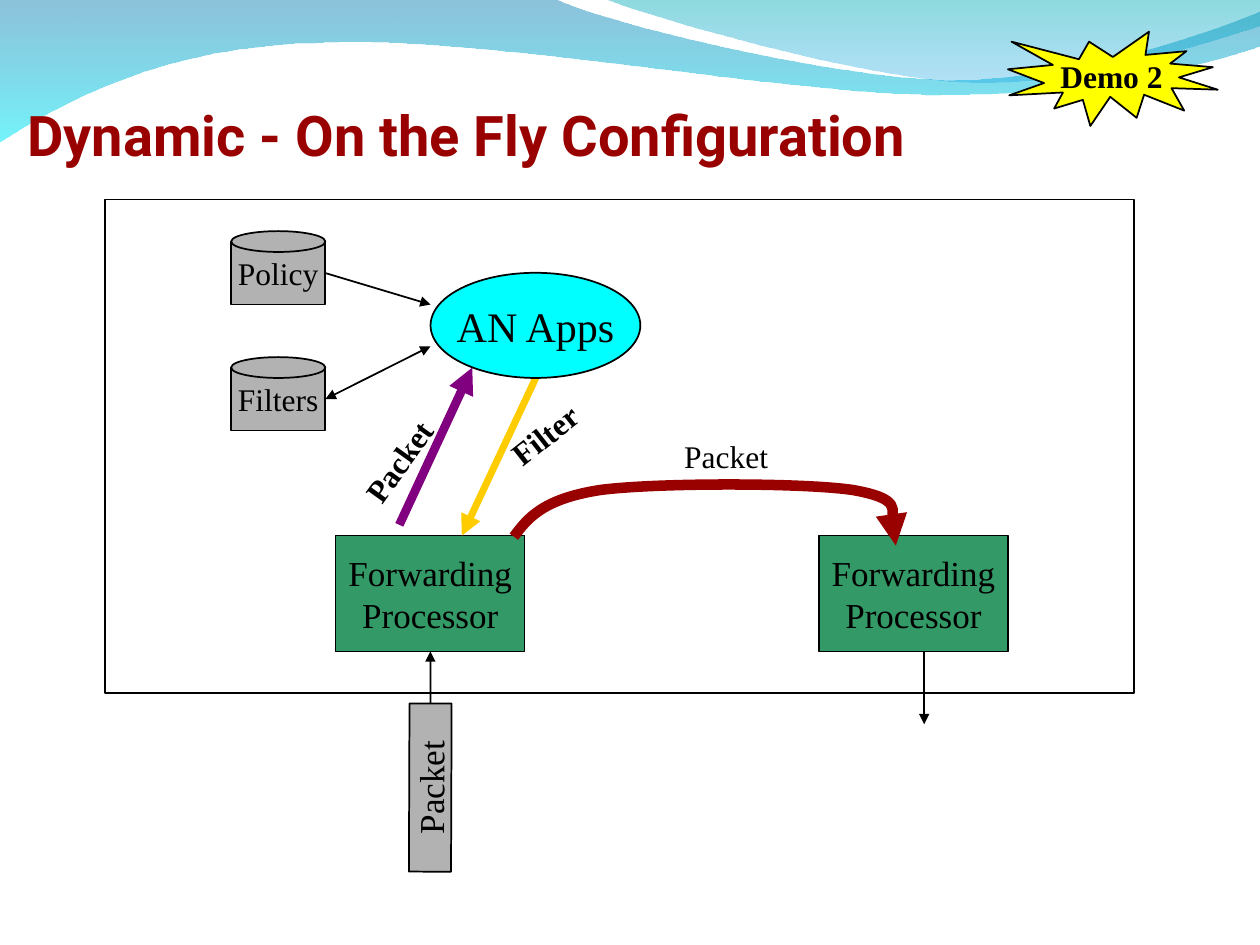
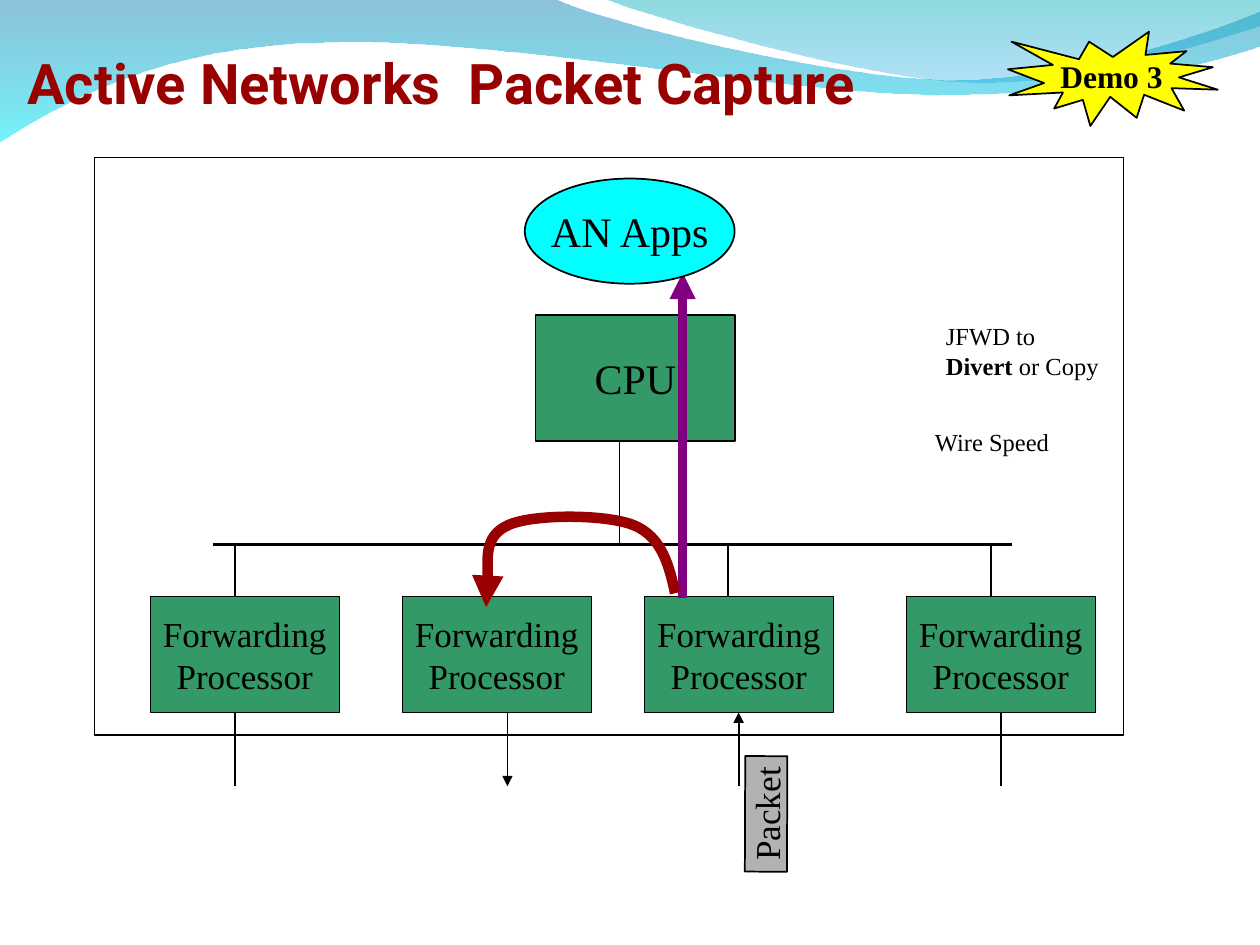
from lxml.etree import SubElement
from pptx import Presentation
from pptx.dml.color import RGBColor
from pptx.enum.shapes import MSO_CONNECTOR, MSO_SHAPE
from pptx.enum.text import MSO_ANCHOR, MSO_AUTO_SIZE, PP_ALIGN
from pptx.oxml.ns import qn
from pptx.util import Cm, Pt

COLOURS = {
    "title": "990000", "ink": "000000", "processor": "339966", "store": "B2B2B2",
    "apps": "00FFFF", "seal": "FFFF00", "capture": "800080", "filter": "FFCC00",
    "route": "990000", "deep blue": "0079AF", "aqua": "00EBF8",
    "teal": "00ADB6", "sky": "009BE5",
}
RGB = {name: RGBColor.from_string(value) for name, value in COLOURS.items()}


def write(shape, text, size=18, bold=False, strong="", font="Times New Roman",
          colour="ink", align=PP_ALIGN.CENTER, anchor=MSO_ANCHOR.MIDDLE,
          wrap=False, spacing=None, margin=None):
    """Fill a shape with lines; "|" parts a line into spans, and strong names the bold one."""
    frame = shape.text_frame
    frame.auto_size = MSO_AUTO_SIZE.NONE
    frame.word_wrap = wrap
    frame.vertical_anchor = anchor
    if margin is not None:
        frame.margin_left = frame.margin_right = Cm(margin)
        frame.margin_top = frame.margin_bottom = Cm(margin)
    for number, line in enumerate(text.split("\n")):
        para = frame.add_paragraph() if number else frame.paragraphs[0]
        para.alignment = align
        para.line_spacing = spacing
        for words in line.split("|"):
            span = para.add_run()
            span.text = words
            span.font.name = font
            span.font.size = Pt(size)
            span.font.bold = bold or words == strong
            span.font.color.rgb = RGB[colour]


def add_curve(page, start, *segments, close=False):
    """Draw an outline in cm; a segment of two lengths is straight, one of six is a cubic."""
    points = [tuple(map(Cm, segment[at:at + 2]))
              for segment in segments for at in range(0, len(segment), 2)]
    builder = page.shapes.build_freeform(*map(Cm, start), scale=1.0)
    shape = builder.add_line_segments(points, close=close).convert_to_shape()
    outline = next(shape.element.iter(qn("a:path")))
    edges = iter(outline.findall(qn("a:lnTo")))
    for segment in segments:
        edge = next(edges)
        if len(segment) == 6:
            bend = outline.makeelement(qn("a:cubicBezTo"))
            outline.replace(edge, bend)
            bend.append(edge[0])
            for _ in range(2):
                extra = next(edges)
                bend.append(extra[0])
                outline.remove(extra)
    return shape


RECT, OVAL = MSO_SHAPE.RECTANGLE, MSO_SHAPE.OVAL
# Box looks: preset (None for a text box), fill, outline width, rotation, text format
BOXES = {
    "frame": (RECT, None, 0.75, 0, {}),
    "processor": (RECT, "processor", 0.75, 0, {"size": 20}),
    "cpu": (RECT, "processor", 0.75, 0, {"size": 24}),
    "apps": (OVAL, "apps", 1, 0, {"size": 24}),
    "store": (RECT, "store", 1, 0, {}),
    "lid": (OVAL, "store", 1, 0, {}),
    "packet": (RECT, "store", 1, 270.2, {"size": 20}),
    "seal": (MSO_SHAPE.EXPLOSION1, "seal", 1, 0, {"bold": True}),
    "label": (None, None, None, 0, {}),
    "steep label": (None, None, None, 305.6, {"bold": True, "wrap": True}),
    "slanted label": (None, None, None, 321.8, {"bold": True, "wrap": True}),
    "note": (RECT, None, None, 0,
             {"size": 14, "align": PP_ALIGN.LEFT, "strong": "Divert"}),
    "speed": (RECT, None, None, 0, {"size": 14, "wrap": True}),
}
# Line looks: colour and width
LINES = {
    "link": ("ink", 1), "bus": ("ink", 2), "capture": ("capture", 5),
    "filter": ("filter", 4), "route": ("route", 6),
}
FORWARDING = "Forwarding\nProcessor"
PROCESSOR = (3.81, 2.33)
APPS = (4.23, 2.12)
FRAME_WIDTH = 20.74
SEAL = (20.32, 0.64, 4.23, 1.9)

# Parts run from back to front: a box has look, place and text; a line has
# look, ends, arrowheads and the side where it joins the box before it.
configuration = [
    ("processor", (16.51, 10.8, *PROCESSOR), FORWARDING),
    ("processor", (6.77, 10.8, *PROCESSOR), FORWARDING),
    ("link", (8.68, 13.13, 8.68, 14.6), "headEnd", 2),
    ("link", (18.63, 13.13, 18.63, 14.6), "tailEnd"),
    ("frame", (2.12, 4.02, FRAME_WIDTH, 9.95), ""),
    ("capture", (8.05, 10.58, 9.52, 7.41), "tailEnd"),
    ("route", ((10.36, 10.82),
               (10.64, 10.44, 10.95, 10.06, 12.09, 9.88),
               (13.21, 9.73, 16.21, 9.73, 17.2, 9.88),
               (18.21, 10.06, 17.91, 10.64, 18.06, 10.82),
               (18.21, 11, 18.14, 11, 18.06, 11)), "tailEnd"),
    ("packet", (6.98, 15.45, 3.39, 0.85), "Packet"),
]
for text, top, target, heads in [("Policy", 4.66, 6.14, "tailEnd"),
                                 ("Filters", 7.2, 6.98, "headEnd tailEnd")]:
    configuration += [
        ("store", (4.66, top + 0.21, 1.9, 1.27), text),
        ("link", (6.56, top + 0.84, 8.68, target), heads, 3),
        ("lid", (4.66, top, 1.9, 0.42), ""),
    ]
configuration += [
    ("filter", (10.8, 7.62, 9.31, 10.8), "tailEnd"),
    ("apps", (8.68, 5.5, *APPS), "AN Apps"),
    ("label", (13.55, 8.69, 2.18, 1.02), "Packet"),
    ("steep label", (6.76, 8.79, 2.54, 1.02), "Packet"),
    ("slanted label", (9.96, 8.25, 2.03, 1.02), "Filter"),
    ("seal", SEAL, "Demo 2"),
]

capture = [
    ("bus", (4.3, 10.98, 20.4, 10.98), ""),
    ("cpu", (10.8, 6.35, 4.02, 2.54), "CPU"),
]
for left, stub, port, heads in [(3.03, 4.73, 4.73, ""), (8.11, 9.8, 10.23, "tailEnd"),
                                (12.99, 14.68, 14.89, "headEnd"), (18.27, 19.97, 20.18, "")]:
    capture += [
        ("processor", (left, 12.03, *PROCESSOR), FORWARDING),
        ("link", (stub, 10.98, stub, 12.03), ""),
        ("link", (port, 14.36, port, 15.85), heads),
    ]
capture += [
    ("frame", (1.91, 3.18, FRAME_WIDTH, 11.64), ""),
    ("link", (12.49, 8.89, 12.49, 11), ""),
    ("capture", (13.76, 12.06, 13.76, 5.5), "tailEnd"),
    ("route", ((13.61, 11.96),
               (13.49, 11.4, 13.34, 10.82, 12.78, 10.59),
               (12.22, 10.36, 10.72, 10.36, 10.24, 10.59),
               (9.73, 10.82, 9.88, 11.68, 9.8, 11.96),
               (9.73, 12.24, 9.78, 12.24, 9.8, 12.24)), "tailEnd"),
    ("apps", (10.58, 3.6, *APPS), "AN Apps"),
    ("note", (18.82, 6.36, 3.58, 1.42), "JFWD to\nDivert| or Copy"),
    ("speed", (18.41, 8.48, 3.18, 0.85), "Wire Speed"),
    ("packet", (14.28, 15.98, 2.33, 0.85), "Packet"),
    ("seal", SEAL, "Demo 3"),
]

deck = Presentation()
deck.slide_width, deck.slide_height = Cm(25.4), Cm(19.05)
layout = deck.slide_layouts[5]

for title, place, parts in [
    ("Dynamic - On the Fly Configuration", (0.42, 1.69, 21.82, 1.85), configuration),
    ("Active Networks  Packet Capture", (0.42, 0.64, 19.48, 1.85), capture),
]:
    page = deck.slides.add_slide(layout)
    heading = page.shapes.title
    heading.left, heading.top, heading.width, heading.height = map(Cm, place)
    write(heading, title, size=32, bold=True, font="Roboto", colour="title", wrap=True,
          align=PP_ALIGN.LEFT, anchor=MSO_ANCHOR.BOTTOM, spacing=0.93, margin=0.13)

    for look, place, content, *joined_side in parts:
        if look in BOXES:
            preset, fill, outline, rotation, text_format = BOXES[look]
            lengths = map(Cm, place)
            if preset is None:
                box = page.shapes.add_textbox(*lengths)
            else:
                box = page.shapes.add_shape(preset, *lengths)
                box.shadow.inherit = False
                if outline:
                    box.line.color.rgb = RGB["ink"]
                    box.line.width = Pt(outline)
                else:
                    box.line.fill.background()
                if fill:
                    box.fill.solid()
                    box.fill.fore_color.rgb = RGB[fill]
                else:
                    box.fill.background()
            box.rotation = rotation
            if content:
                write(box, content, **text_format)
            continue

        if look == "route":
            stroke = add_curve(page, *place)
            stroke.fill.background()
        else:
            stroke = page.shapes.add_connector(MSO_CONNECTOR.STRAIGHT, *map(Cm, place))
            for side in joined_side:
                stroke.begin_connect(box, side)
        colour, weight = LINES[look]
        stroke.line.color.rgb = RGB[colour]
        stroke.line.width = Pt(weight)
        for head in content.split():
            SubElement(stroke.line._get_or_add_ln(), qn(f"a:{head}"), type="triangle")
        SubElement(stroke.element.spPr, qn("a:effectLst"))

# The waves are drawn on a page and then moved behind everything on the shared layout.
long_wave = [
    (0, -0.03), (11.18, -0.03),
    (12.09, 0.43, 16.87, 1.6, 19.25, 1.6), (21.67, 1.6, 24.33, 0.66, 25.4, 0.23),
    (25.43, 0.91),
    (24.97, 1.12, 22.1, 1.93, 18.95, 1.91), (15.8, 1.91, 9.7, 0.71, 6.53, 0.86),
    (3.28, 0.89, 1.17, 2.11, -0.03, 2.87), (0, -0.03),
]
short_wave = [
    (12.17, -0.03), (12.93, 0.28, 17.32, 1.57, 19.53, 1.65),
    (21.74, 1.75, 24.41, 0.81, 25.4, 0.53), (25.4, 0), (12.17, -0.03),
]
for number, (edges, stops) in enumerate([
    (long_wave, [("deep blue", 45), ("aqua", 55)]),
    (short_wave, [("teal", 45), ("sky", 30)]),
]):
    wave = add_curve(page, *edges, close=True)
    wave.shadow.inherit = False
    wave.line.fill.background()
    wave.fill.gradient()
    wave.fill.gradient_angle = 270
    for stop, (colour, _) in zip(wave.fill.gradient_stops, stops):
        stop.color.rgb = RGB[colour]
    for tint, (_, opacity) in zip(wave.element.spPr.iter(qn("a:srgbClr")), stops):
        SubElement(tint, qn("a:alpha"), val=str(opacity * 1000))
    wave.element.nvSpPr.cNvPr.set("id", str(20 + number))
    layout.shapes.element.insert(2 + number, wave.element)

deck.save("out.pptx")
